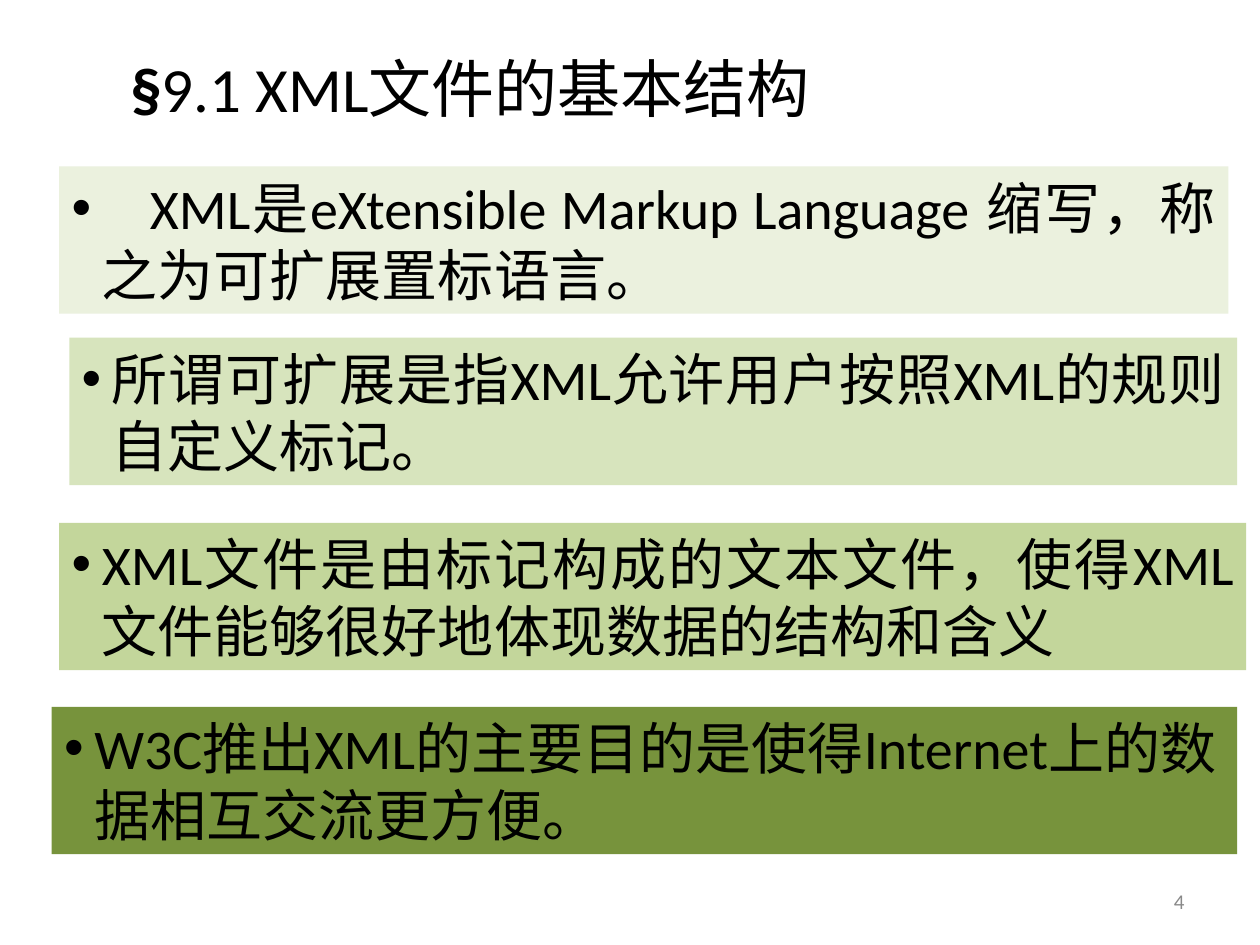
from pptx import Presentation
from pptx.dml.color import RGBColor
from pptx.enum.shapes import MSO_SHAPE
from pptx.enum.text import MSO_ANCHOR, PP_ALIGN
from pptx.oxml import parse_xml
from pptx.oxml.ns import nsdecls
from pptx.util import Inches, Pt

theme = {
    "font": "Calibri",
    "ink": "000000",
    "mute": "898989",
    "fills": ["EBF1DE", "D7E4BD", "C3D69B", "77933C"],
    "head": 36,
    "body": 32,
    "foot": 12,
}

deck = Presentation()
deck.slide_width, deck.slide_height = Inches(10), Inches(7.5)
slide = deck.slides.add_slide(deck.slide_layouts[6])
col, row = deck.slide_width / 100, deck.slide_height / 75


def grid(left, top, wide, high):
    return [round(n) for n in (left * col, top * row, wide * col, high * row)]


def style(shape, size, ink, align, anchor):
    frame = shape.text_frame
    frame.word_wrap = True
    frame.vertical_anchor = anchor
    para = frame.paragraphs[0]
    para.alignment = align
    for run in para.runs:
        run.font.name = theme["font"]
        run.font.size = Pt(theme[size])
        run.font.color.rgb = RGBColor.from_string(theme[ink])


title = slide.shapes.add_textbox(*grid(3.9, 3.1, 66.8, 7.6))
line = title.text_frame.paragraphs[0]
for text, bold in [("§", True), ("9.1 XML文件的基本结构", False)]:
    run = line.add_run()
    run.text = text
    run.font.bold = bold
style(title, "head", "ink", PP_ALIGN.CENTER, MSO_ANCHOR.MIDDLE)

points = [
    (4.7, 13.2, 92.8, "\tXML是eXtensible Markup Language 缩写，称之为可扩展置标语言。"),
    (5.5, 26.8, 92.7, "所谓可扩展是指XML允许用户按照XML的规则自定义标记。"),
    (4.7, 41.5, 94.2, "XML文件是由标记构成的文本文件，使得XML文件能够很好地体现数据的结构和含义"),
    (4.1, 56.1, 94.1, "W3C推出XML的主要目的是使得Internet上的数据相互交流更方便。"),
]
hang, stop = round(3.4 * col) - Inches(0.1), round(6.2 * col)

for (left, top, wide, text), fill in zip(points, theme["fills"]):
    band = slide.shapes.add_shape(MSO_SHAPE.RECTANGLE, *grid(left, top, wide, 11.7))
    band.shadow.inherit = False
    band.fill.solid()
    band.fill.fore_color.rgb = RGBColor.from_string(fill)
    band.line.fill.background()
    para = band.text_frame.paragraphs[0]
    para.text = text
    props = para._p.get_or_add_pPr()
    props.set("marL", str(hang))
    props.set("indent", str(-hang))
    props.append(parse_xml(f'<a:buFont {nsdecls("a")} typeface="Arial"/>'))
    props.append(parse_xml(f'<a:buChar {nsdecls("a")} char="•"/>'))
    if text.startswith("\t"):
        props.append(parse_xml(
            f'<a:tabLst {nsdecls("a")}><a:tab pos="{stop}" algn="l"/></a:tabLst>'))
    align = PP_ALIGN.LEFT if text.startswith("W3C") else PP_ALIGN.JUSTIFY
    style(band, "body", "ink", align, MSO_ANCHOR.BOTTOM)

page = slide.shapes.add_textbox(*grid(71.7, 69.5, 23.3, 4))
page.text_frame.text = "4"
style(page, "foot", "mute", PP_ALIGN.RIGHT, MSO_ANCHOR.MIDDLE)

deck.save("out.pptx")
